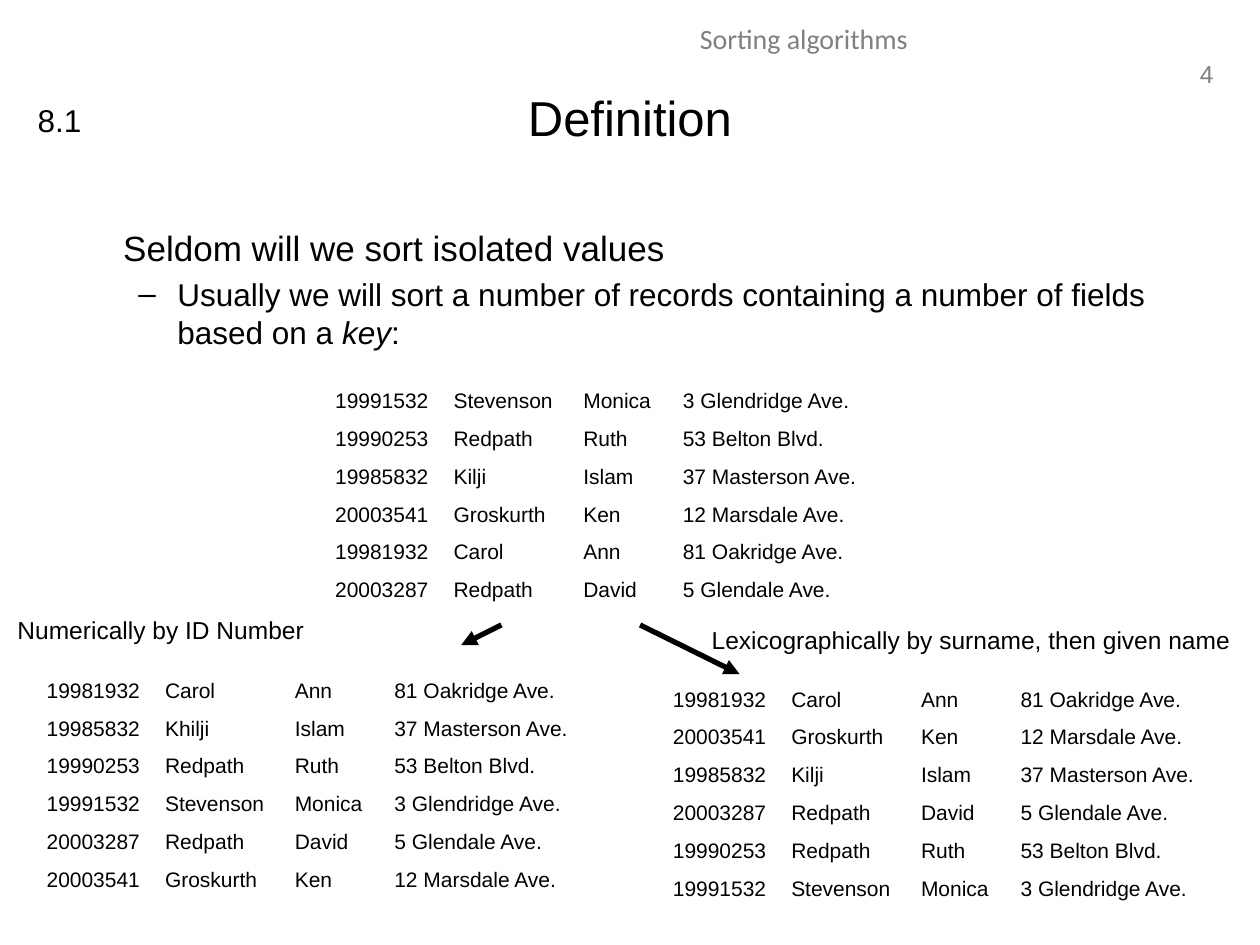
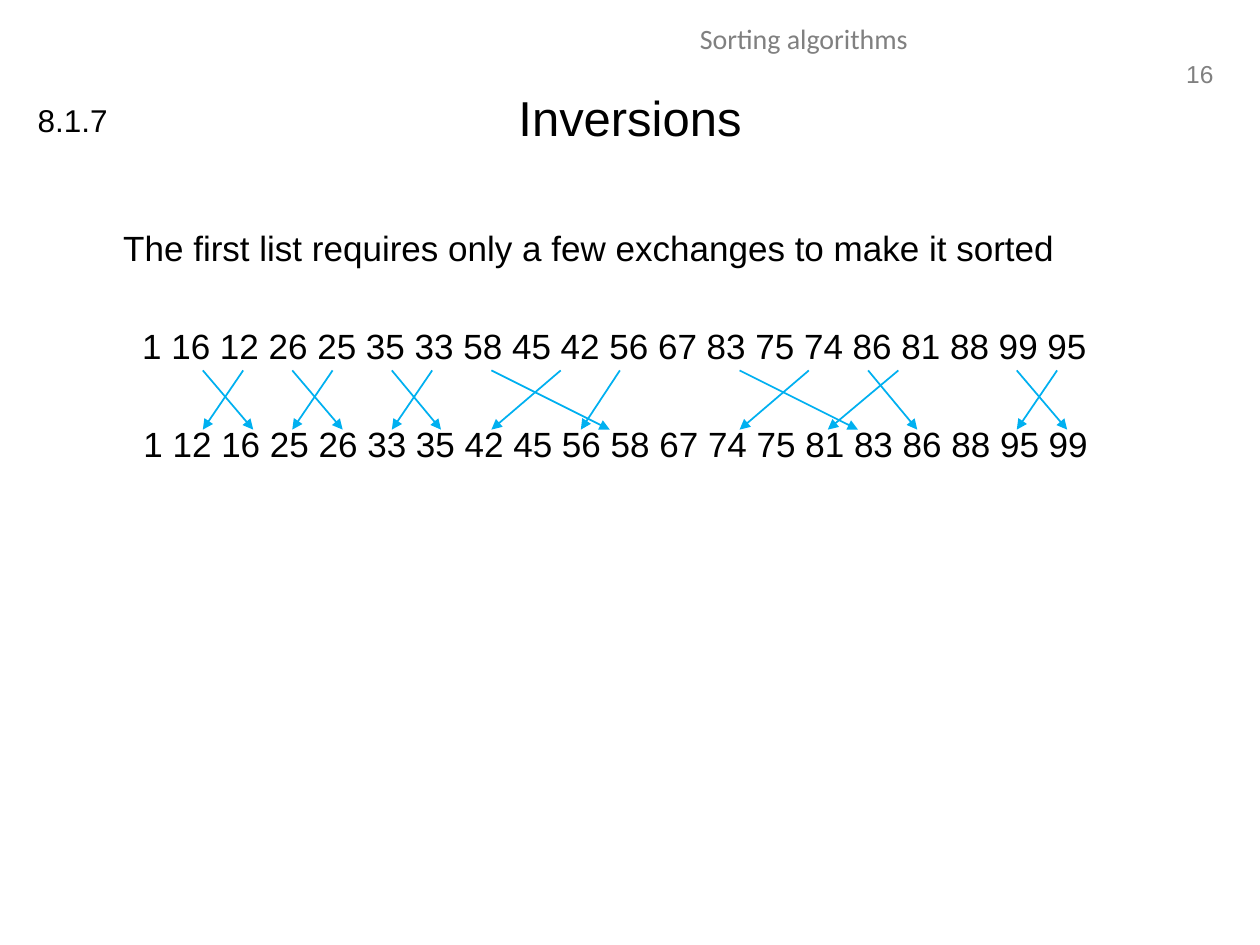
import pptx
import pptx.dml.color
import pptx.enum.shapes
import pptx.enum.text
import pptx.oxml
import pptx.oxml.ns
import pptx.util

Inches = pptx.util.Inches
Pt = pptx.util.Pt
RGBColor = pptx.dml.color.RGBColor
Align = pptx.enum.text.PP_ALIGN

BLACK = RGBColor(0x00, 0x00, 0x00)
GREY = RGBColor(0x80, 0x80, 0x80)
SKY = RGBColor(0x00, 0xB0, 0xF0)
NAMESPACE = pptx.oxml.ns.nsdecls("a")

COLUMN_WIDTHS = (0.94, 1.03, 0.79, 1.65)
ROW_HEIGHT = 0.3
RECORDS = [
    ("19991532", "Stevenson", "Monica", "3 Glendridge Ave."),
    ("19990253", "Redpath", "Ruth", "53 Belton Blvd."),
    ("19985832", "Kilji", "Islam", "37 Masterson Ave."),
    ("20003541", "Groskurth", "Ken", "12 Marsdale Ave."),
    ("19981932", "Carol", "Ann", "81 Oakridge Ave."),
    ("20003287", "Redpath", "David", "5 Glendale Ave."),
]
UNSORTED = "1 16 12 26 25 35 33 58 45 42 56 67 83 75 74 86 81 88 99 95"
EXCHANGES = [
    (1.93, 1.61), (1.61, 2.01), (2.64, 2.32), (2.32, 2.72), (3.43, 3.11),
    (3.11, 3.5), (4.45, 3.9), (3.9, 4.84), (4.92, 4.61), (6.42, 5.87),
    (5.87, 6.81), (7.13, 6.57), (8.39, 8.07), (8.07, 8.47), (6.89, 7.28),
]


class SlideBuilder:
    """Holds the shared style and the slide being filled."""

    def __init__(self, deck):
        self.deck = deck
        self.page = None

    def style(self, paragraph, size, color=BLACK, font="Arial"):
        for span in paragraph.runs:
            span.font.name = font
            span.font.size = Pt(size)
            span.font.color.rgb = color

    def text(self, left, top, width, height, content, size, color=BLACK,
             font="Arial", align=Align.LEFT, wrap=True):
        box = self.page.shapes.add_textbox(
            Inches(left), Inches(top), Inches(width), Inches(height))
        frame = box.text_frame
        frame.word_wrap = wrap
        if not wrap:
            frame.auto_size = pptx.enum.text.MSO_AUTO_SIZE.SHAPE_TO_FIT_TEXT
        frame.text = content
        frame.paragraphs[0].alignment = align
        self.style(frame.paragraphs[0], size, color, font)
        return frame

    def start(self, number, section, title):
        self.page = self.deck.slides.add_slide(self.deck.slide_layouts[6])
        self.text(9.29, 0.42, 0.44, 0.33, number, 14, GREY, align=Align.RIGHT, wrap=False)
        self.text(3.19, 0.12, 6.38, 0.4, "Sorting algorithms", 16, GREY, "Calibri", Align.CENTER)
        heading = self.text(0.5, 0.3, 9, 1.25, title, 28, align=Align.CENTER)
        heading.vertical_anchor = pptx.enum.text.MSO_ANCHOR.MIDDLE
        self.text(0.2, 0.75, 0.55 if len(section) < 4 else 0.76, 0.4, section, 18, wrap=False)

    def body(self, statement):
        frame = self.text(0.5, 1.75, 9, 4.95, statement, 20)
        self.indent(frame.paragraphs[0], 0.38)
        return frame

    def indent(self, paragraph, margin, hanging=0):
        properties = paragraph._p.get_or_add_pPr()
        properties.set("marL", str(Inches(margin)))
        properties.set("indent", str(-Inches(hanging)))
        return properties

    def bullet(self, frame, spans):
        paragraph = frame.add_paragraph()
        paragraph.level = 1
        properties = self.indent(paragraph, 0.81, 0.31)
        for tag in ('buFont typeface="Arial"', 'buChar char="–"'):
            name, attribute = tag.split()
            properties.append(pptx.oxml.parse_xml(f"<a:{name} {NAMESPACE} {attribute}/>"))
        paragraph.space_before = Pt(3.6)
        for content, italic in spans:
            span = paragraph.add_run()
            span.text = content
            span.font.italic = italic
        self.style(paragraph, 18)

    def number_list(self, frame, content, margin):
        paragraph = frame.add_paragraph()
        paragraph.text = content
        self.indent(paragraph, margin)
        paragraph.space_before = Pt(32)
        self.style(paragraph, 20)

    def table(self, left, top, records):
        table = self.page.shapes.add_table(
            len(records), len(COLUMN_WIDTHS), Inches(left), Inches(top),
            Inches(sum(COLUMN_WIDTHS)), Inches(ROW_HEIGHT * len(records))).table
        table.first_row = table.horz_banding = False
        for column, width in zip(table.columns, COLUMN_WIDTHS):
            column.width = Inches(width)
        for row, record in zip(table.rows, records):
            row.height = Inches(ROW_HEIGHT)
            for cell, value in zip(row.cells, record):
                cell.fill.background()
                cell.margin_right = Inches(0.05)
                cell.text_frame.text = value
                self.style(cell.text_frame.paragraphs[0], 12)

    def arrow(self, start, end, color, width):
        connector = self.page.shapes.add_connector(
            pptx.enum.shapes.MSO_CONNECTOR.STRAIGHT,
            *(Inches(value) for value in (*start, *end)))
        connector.line.color.rgb = color
        connector.line.width = Pt(width)
        connector.line._get_or_add_ln().append(
            pptx.oxml.parse_xml(f'<a:tailEnd {NAMESPACE} type="triangle"/>'))
        connector._element.spPr.append(pptx.oxml.parse_xml(f"<a:effectLst {NAMESPACE}/>"))


def add_definition(builder):
    builder.start("4", "8.1", "Definition")
    frame = builder.body("Seldom will we sort isolated values")
    builder.bullet(frame, [
        ("Usually we will sort a number of records containing a number of fields based on a ", False),
        ("key", True),
        (":", False),
    ])
    by_number = [[value.replace("Kilji", "Khilji") for value in record]
                 for record in sorted(RECORDS)]
    by_name = sorted(RECORDS, key=lambda record: record[1:3])
    builder.table(2.56, 3.04, RECORDS)
    builder.table(0.27, 5.34, by_number)
    builder.table(5.24, 5.41, by_name)
    builder.arrow((3.98, 4.96), (3.66, 5.12), BLACK, 3)
    builder.arrow((5.08, 4.96), (5.87, 5.35), BLACK, 3)
    builder.text(0.04, 4.83, 2.49, 0.34, "Numerically by ID Number", 14, wrap=False)
    builder.text(5.55, 4.91, 4.34, 0.34,
                 "Lexicographically by surname, then given name", 14, wrap=False)


def add_inversions(builder):
    builder.start("16", "8.1.7", "Inversions")
    frame = builder.body("The first list requires only a few exchanges to make it sorted")
    builder.number_list(frame, UNSORTED, 0.53)
    builder.number_list(frame, " ".join(sorted(UNSORTED.split(), key=int)), 0.54)
    for start, end in EXCHANGES:
        builder.arrow((start, 2.94), (end, 3.41), SKY, 1)


def main():
    deck = pptx.Presentation()
    deck.slide_width = Inches(10)
    deck.slide_height = Inches(7.5)
    builder = SlideBuilder(deck)
    add_definition(builder)
    add_inversions(builder)
    deck.save("out.pptx")


if __name__ == "__main__":
    main()
